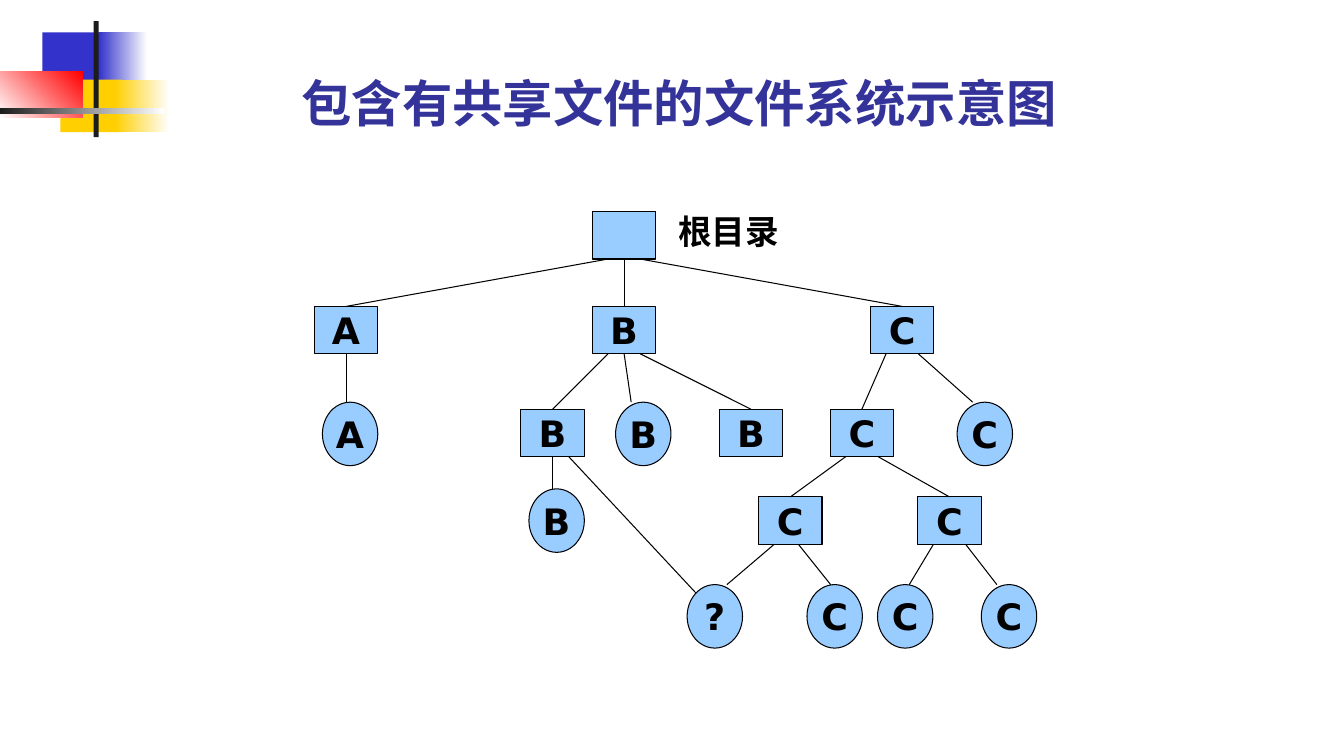
from lxml import etree
from pptx import Presentation
from pptx.dml.color import RGBColor
from pptx.enum.shapes import MSO_CONNECTOR, MSO_SHAPE
from pptx.enum.text import MSO_ANCHOR, PP_ALIGN
from pptx.oxml.ns import qn
from pptx.util import Inches, Pt

RECT, OVAL = MSO_SHAPE.RECTANGLE, MSO_SHAPE.OVAL
STRAIGHT = MSO_CONNECTOR.STRAIGHT
LEFT, CENTER = PP_ALIGN.LEFT, PP_ALIGN.CENTER
MIDDLE, BOTTOM, TOP = MSO_ANCHOR.MIDDLE, MSO_ANCHOR.BOTTOM, MSO_ANCHOR.TOP
TOP_SITE, BOTTOM_SITE = 0, 2

COLORS = {
    "title": "333399", "text": "000000", "line": "000000", "node": "99CCFF",
    "blue": "3333CC", "yellow": "FFCF01", "red": "FF0000",
    "dark": "1C1C1C", "white": "FFFFFF",
}
DIRECTORY_SIZE = (0.63, 0.47)
FILE_SIZE = (0.55, 0.63)


def rgb(name):
    return RGBColor.from_string(COLORS[name])


class TreeSlide:
    def __init__(self, prs):
        self.slide = prs.slides.add_slide(prs.slide_layouts[5])
        self.shapes = self.slide.shapes

    def style_text(self, frame, text, size, font, color, align, anchor):
        frame.text = text
        frame.vertical_anchor = anchor
        paragraph = frame.paragraphs[0]
        paragraph.alignment = align
        run_font = paragraph.runs[0].font
        run_font.size, run_font.name, run_font.bold = Pt(size), font, True
        run_font.color.rgb = rgb(color)

    def set_insets(self, frame):
        frame.margin_left = frame.margin_right = Inches(0.14)
        frame.margin_top = frame.margin_bottom = Inches(0.07)

    def title(self, box, text):
        title = self.shapes.title
        title.left, title.top, title.width, title.height = map(Inches, box)
        self.style_text(title.text_frame, text, 36, "Lato", "title", LEFT, BOTTOM)

    def block(self, box, start, end=None, angle=0):
        block = self.shapes.add_shape(RECT, *map(Inches, box))
        block.shadow.inherit = False
        block.line.fill.background()
        if end is None:
            block.fill.solid()
            block.fill.fore_color.rgb = rgb(start)
            return
        block.fill.gradient()
        block.fill.gradient_angle = angle
        for stop, color, position in zip(block.fill.gradient_stops, (start, end), (0, 1)):
            stop.color.rgb = rgb(color)
            stop.position = position

    def node(self, kind, left, top, text):
        size = DIRECTORY_SIZE if kind == RECT else FILE_SIZE
        node = self.shapes.add_shape(kind, *map(Inches, (left, top, *size)))
        node.shadow.inherit = False
        node.fill.solid()
        node.fill.fore_color.rgb = rgb("node")
        node.line.color.rgb = rgb("line")
        node.line.width = Pt(0.75)
        if text:
            frame = node.text_frame
            self.set_insets(frame)
            frame.word_wrap = False
            self.style_text(frame, text, 26, "DejaVu Sans", "text", CENTER, MIDDLE)
        return node

    def branch(self, parent, child, start_dx, end_dx=0, end_dy=0):
        """Line from the parent's bottom to the child's top, offset from centre."""
        edge = self.shapes.add_connector(
            STRAIGHT,
            parent.left + parent.width // 2 + Inches(start_dx),
            parent.top + parent.height,
            child.left + child.width // 2 + Inches(end_dx),
            child.top + Inches(end_dy))
        edge.line.color.rgb = rgb("line")
        edge.line.width = Pt(0.75)
        etree.SubElement(edge._element.spPr, qn("a:effectLst"))
        if start_dx == 0:
            edge.begin_connect(parent, BOTTOM_SITE)
        if child.auto_shape_type == RECT:
            edge.end_connect(child, TOP_SITE)

    def label(self, box, text):
        frame = self.shapes.add_textbox(*map(Inches, box)).text_frame
        self.set_insets(frame)
        frame.word_wrap = True
        self.style_text(frame, text, 24, "DejaVu Sans", "text", LEFT, TOP)


# Corner ornament: box, start colour, end colour, angle
ORNAMENT = [
    ((0.42, 0.32, 0.64, 0.52), "blue"),
    ((0.98, 0.32, 0.48, 0.52), "blue", "white"),
    ((0.6, 0.79, 0.61, 0.52), "yellow"),
    ((1.14, 0.79, 0.54, 0.52), "yellow", "white"),
    ((0, 0.71, 0.82, 0.46), "white", "red", 45),
    ((0.93, 0.21, 0.05, 1.15), "dark"),
    ((0, 1.07, 1.63, 0.06), "dark", "white"),
]

# Directories are rectangles, files are ovals: left, top, text
NODES = {
    "root": (RECT, 5.88, 2.1, ""),
    "dir A": (RECT, 3.12, 3.04, "A"),
    "dir B": (RECT, 5.88, 3.04, "B"),
    "dir C": (RECT, 8.64, 3.04, "C"),
    "dir B1": (RECT, 5.17, 4.06, "B"),
    "dir B2": (RECT, 7.14, 4.06, "B"),
    "dir C1": (RECT, 8.24, 4.06, "C"),
    "dir C11": (RECT, 7.53, 4.93, "C"),
    "dir C12": (RECT, 9.11, 4.93, "C"),
    "file A": (OVAL, 3.2, 3.99, "A"),
    "file B": (OVAL, 6.11, 3.99, "B"),
    "file B1": (OVAL, 5.25, 4.85, "B"),
    "file C": (OVAL, 9.5, 3.99, "C"),
    "file C11": (OVAL, 8.01, 5.8, "C"),
    "shared": (OVAL, 6.82, 5.8, "?"),
    "file C12a": (OVAL, 8.71, 5.8, "C"),
    "file C12b": (OVAL, 9.74, 5.8, "C"),
}

# Parent, child, offsets of the start and the end
BRANCHES = [
    ("root", "dir A", -0.16),
    ("root", "dir B", 0),
    ("root", "dir C", 0.16),
    ("dir A", "file A", 0, -0.04),
    ("dir B", "dir B1", -0.16),
    ("dir B", "file B", 0, -0.12),
    ("dir B", "dir B2", 0.16),
    ("dir B1", "file B1", 0, -0.04),
    ("dir C", "dir C1", -0.16),
    ("dir C", "file C", 0.16, -0.12),
    ("dir C1", "dir C11", -0.16),
    ("dir C1", "dir C12", 0.16),
    ("dir C11", "shared", -0.16, 0.12),
    ("dir C11", "file C11", 0.08, -0.04),
    ("dir C12", "file C12a", -0.16, 0.04),
    ("dir C12", "file C12b", 0.16, -0.12),
    ("dir B1", "shared", 0.16, -0.19, 0.08),
]


def main():
    prs = Presentation()
    prs.slide_width, prs.slide_height = Inches(13.34), Inches(7.5)
    page = TreeSlide(prs)

    # Ornament and title
    for block in ORNAMENT:
        page.block(*block)
    page.title((2.89, 0.6, 8.52, 0.77), "包含有共享文件的文件系统示意图")

    # Directory tree
    nodes = {key: page.node(*node) for key, node in NODES.items()}
    for parent, child, *offsets in BRANCHES:
        page.branch(nodes[parent], nodes[child], *offsets)
    page.label((6.59, 2.02, 1.42, 0.54), "根目录")

    prs.save("out.pptx")


if __name__ == "__main__":
    main()
